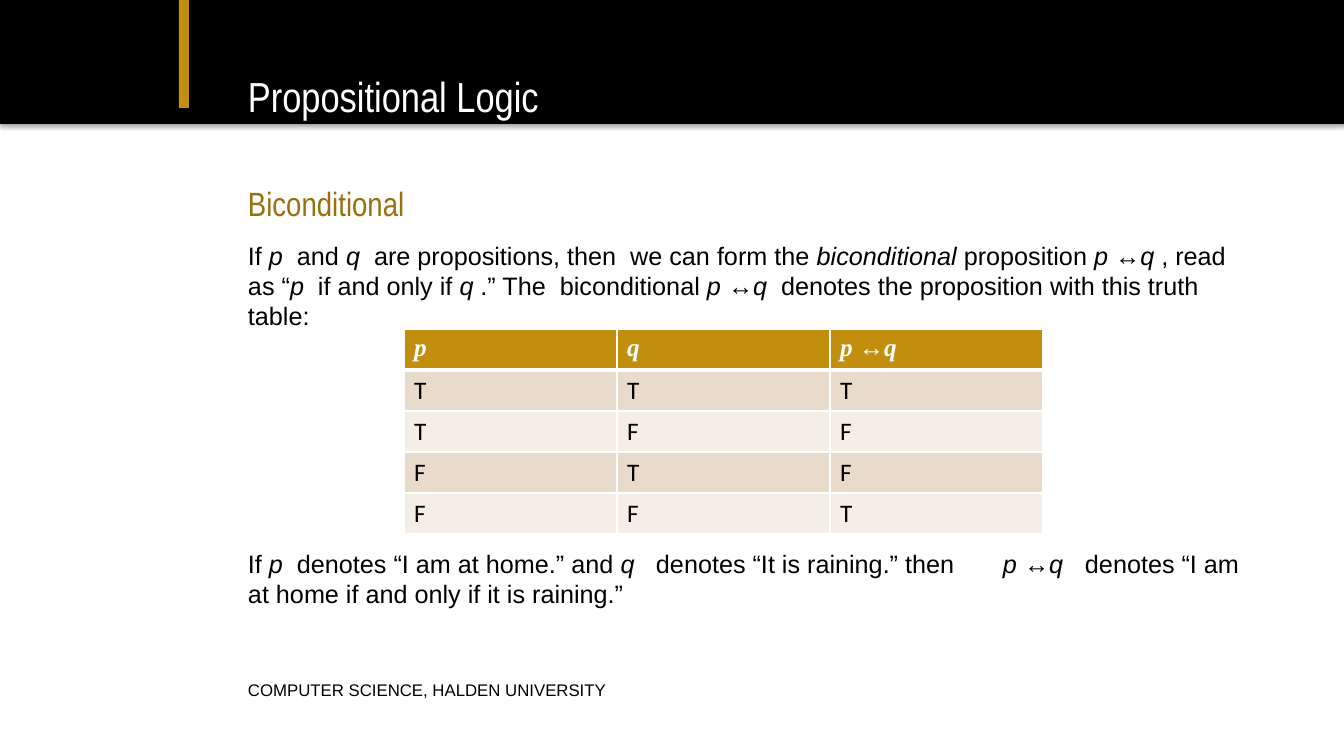
from lxml.etree import SubElement
from pptx import Presentation
from pptx.dml.color import RGBColor
from pptx.enum.shapes import MSO_SHAPE
from pptx.enum.text import MSO_ANCHOR
from pptx.oxml.ns import qn
from pptx.util import Emu, Pt

BLACK, WHITE, GOLD, DARK_GOLD = "000000", "FFFFFF", "C28E0E", "98700D"
BANDS = ["E9DBCC", "F4EEE7"]
LEFT = 248


def px(length):
    return Emu(round(length * 914400 / 100.8))


def color(value):
    return RGBColor.from_string(value)


def add_solid_fill(parent, value):
    fill = SubElement(parent, qn("a:solidFill"))
    SubElement(fill, qn("a:srgbClr"), val=value)


class SlideBuilder:
    def __init__(self, deck):
        self.page = deck.slides.add_slide(deck.slide_layouts[6])
        self.text_font = "Arial"
        self.heading_font = "Arial Narrow"
        self.symbol_font = "Times New Roman"
        self.cell_font = "Calibri"

    def bar(self, left, top, width, height, fill):
        shape = self.page.shapes.add_shape(
            MSO_SHAPE.RECTANGLE, px(left), px(top), px(width), px(height))
        shape.fill.solid()
        shape.fill.fore_color.rgb = color(fill)
        shape.line.fill.background()
        shape.shadow.inherit = False
        effects = shape.element.spPr.find(qn("a:effectLst"))
        shadow = SubElement(effects, qn("a:outerShdw"), blurRad=str(Pt(3.1)),
                            dist=str(Pt(1.8)), dir="5400000", rotWithShape="0")
        tint = SubElement(shadow, qn("a:srgbClr"), val=BLACK)
        SubElement(tint, qn("a:alpha"), val="35000")

    def fill_paragraph(self, para, text, font, size, fill, bold=False):
        """Set the style and add the runs; words between asterisks are italic."""
        para.font.name = font
        para.font.size = Pt(size)
        para.font.color.rgb = color(fill)
        para.font.bold = bold
        for index, part in enumerate(text.split("*")):
            if part:
                span = para.add_run()
                span.text = part
                span.font.italic = index % 2 == 1

    def text(self, left, top, width, height, text, size, fill=BLACK,
             font=None, anchor=MSO_ANCHOR.MIDDLE, tabs=()):
        box = self.page.shapes.add_textbox(px(left), px(top), px(width), px(height))
        frame = box.text_frame
        frame.word_wrap = True
        frame.vertical_anchor = anchor
        frame.margin_left = frame.margin_right = 0
        frame.margin_top = frame.margin_bottom = 0
        para = frame.paragraphs[0]
        if tabs:
            stops = SubElement(para._p.get_or_add_pPr(), qn("a:tabLst"))
            for position in tabs:
                SubElement(stops, qn("a:tab"), pos=str(px(position)), algn="l")
        self.fill_paragraph(para, text, font or self.text_font, size, fill)

    def heading(self, top, width, height, text, size, fill):
        self.text(LEFT, top, width, height, text, size, fill, self.heading_font)

    def body(self, top, height, text, tabs=()):
        self.text(LEFT, top, 1004, height, text, 18, anchor=MSO_ANCHOR.TOP, tabs=tabs)

    def cell_borders(self, cell, bottom):
        properties = cell._tc.get_or_add_tcPr()
        for side, width in (("L", 1), ("R", 1), ("T", 1), ("B", bottom)):
            line = SubElement(properties, qn(f"a:ln{side}"), w=str(Pt(width)))
            add_solid_fill(line, WHITE)

    def table(self, left, top, column_width, row_height, rows):
        count = len(rows[0])
        table = self.page.shapes.add_table(
            len(rows), count, px(left), px(top),
            px(column_width * count), px(row_height * len(rows))).table
        for column in table.columns:
            column.width = px(column_width)
        for r, row in enumerate(rows):
            header = r == 0
            for c, text in enumerate(row):
                cell = table.cell(r, c)
                self.cell_borders(cell, 3 if header else 1)
                cell.fill.solid()
                cell.fill.fore_color.rgb = color(GOLD if header else BANDS[(r - 1) % 2])
                self.fill_paragraph(cell.text_frame.paragraphs[0], text,
                                    self.symbol_font if header else self.cell_font, 18,
                                    WHITE if header else BLACK, bold=header)


def main():
    deck = Presentation()
    deck.slide_width, deck.slide_height = px(1344), px(756)
    slide = SlideBuilder(deck)

    slide.bar(0, 0, 1344, 124, BLACK)
    slide.bar(179, 0, 10, 108, GOLD)
    slide.heading(67, 896, 58, "Propositional Logic", 30, WHITE)
    slide.heading(180, 897, 46, "Biconditional", 24, DARK_GOLD)
    slide.text(LEFT, 678, 675, 24, "COMPUTER SCIENCE, HALDEN UNIVERSITY", 12)

    slide.body(240, 92, "If *p*  and *q*  are propositions, then  we can form the "
               "*biconditional *proposition *p *↔*q* , read as “*p*  if and only if "
               "*q* .” The  biconditional *p *↔*q*  denotes the proposition "
               "with this truth table:")
    slide.body(548, 62, "If *p*  denotes “I am at home.” and *q*\tdenotes “It is raining.” "
               "then\t*p *↔*q*\tdenotes “I am at home if and only if it is raining.”",
               tabs=(408, 755, 837))
    slide.table(404, 329, 213, 41, [
        ["*p*", "*q*", "*p *↔*q*"],
        ["T", "T", "T"],
        ["T", "F", "F"],
        ["F", "T", "F"],
        ["F", "F", "T"],
    ])
    deck.save("out.pptx")


if __name__ == "__main__":
    main()
